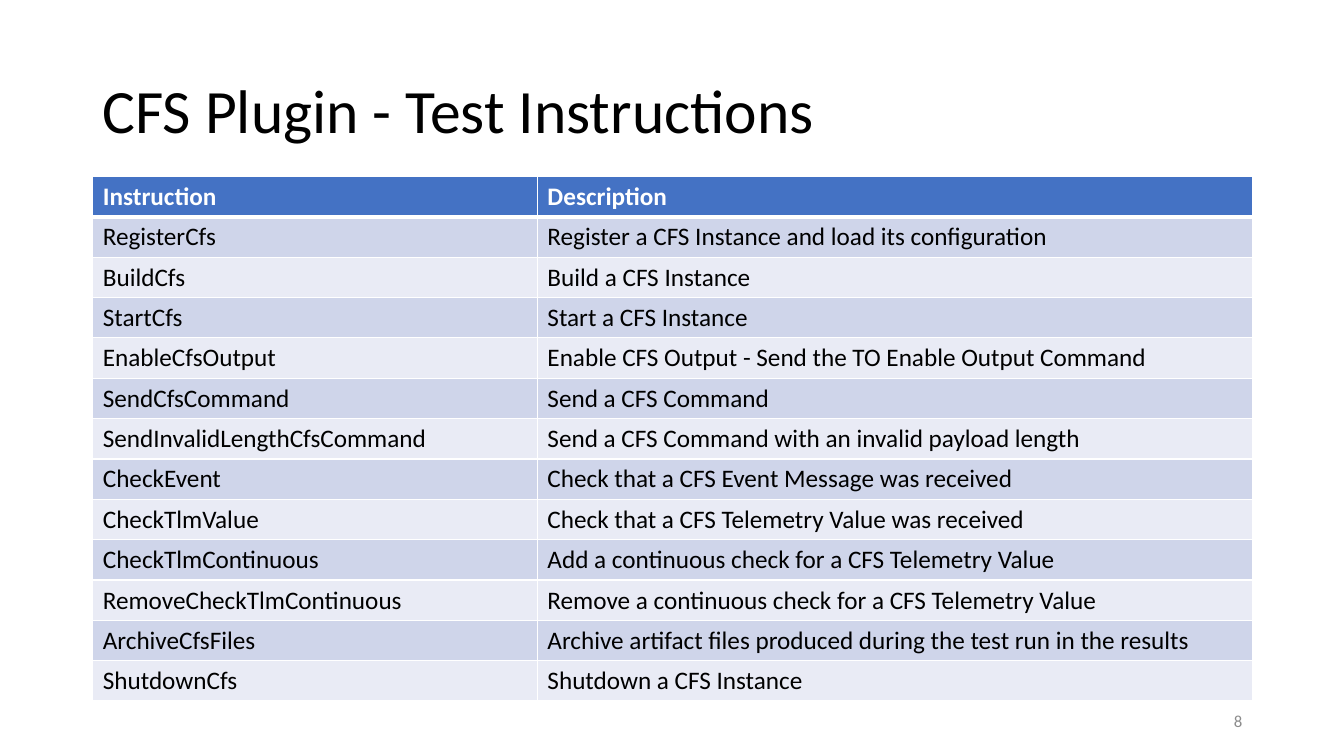
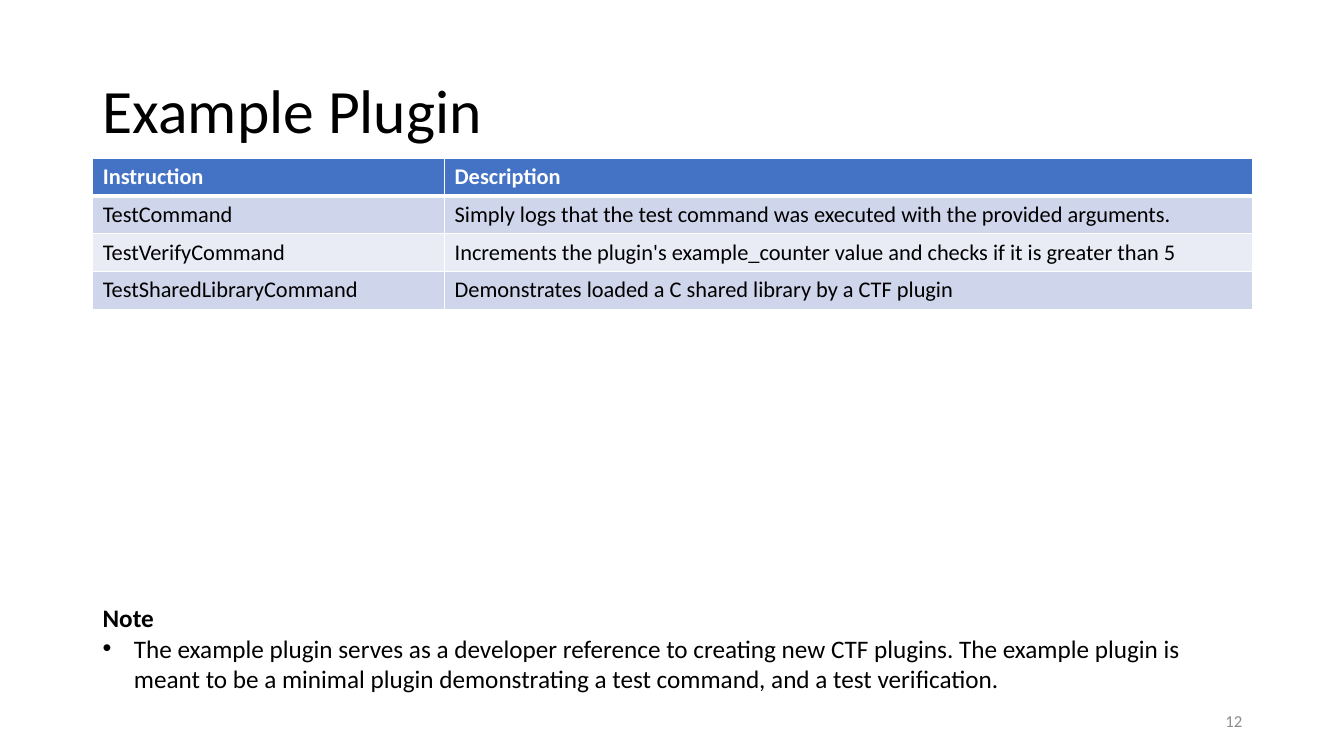
import pptx
import pptx.dml.color
import pptx.enum.text
import pptx.oxml
import pptx.oxml.ns
import pptx.util

Inches = pptx.util.Inches
Pt = pptx.util.Pt
Anchor = pptx.enum.text.MSO_ANCHOR
Align = pptx.enum.text.PP_ALIGN

FONT = "Calibri"
BLACK, WHITE, GREY = "000000", "FFFFFF", "8C8C8C"
HEADER_FILL = "4472C4"
BAND_FILLS = ("CFD5EA", "E9EBF5")
LEFT, WIDTH = 0.92, 11.5
HEADINGS = ("Instruction", "Description")

SLIDES = [
    {
        "title": "CFS Plugin - Test Instructions",
        "number": "8",
        "table": {"top": 1.75, "first_column": 4.41, "row_height": 0.4, "size": 18},
        "rows": [
            ("RegisterCfs", "Register a CFS Instance and load its configuration"),
            ("BuildCfs", "Build a CFS Instance"),
            ("StartCfs", "Start a CFS Instance"),
            ("EnableCfsOutput", "Enable CFS Output - Send the TO Enable Output Command"),
            ("SendCfsCommand", "Send a CFS Command"),
            ("SendInvalidLengthCfsCommand", "Send a CFS Command with an invalid payload length"),
            ("CheckEvent", "Check that a CFS Event Message was received"),
            ("CheckTlmValue", "Check that a CFS Telemetry Value was received"),
            ("CheckTlmContinuous", "Add a continuous check for a CFS Telemetry Value"),
            ("RemoveCheckTlmContinuous", "Remove a continuous check for a CFS Telemetry Value"),
            ("ArchiveCfsFiles", "Archive artifact files produced during the test run in the results"),
            ("ShutdownCfs", "Shutdown a CFS Instance"),
        ],
    },
    {
        "title": "Example Plugin",
        "number": "12",
        "table": {"top": 1.57, "first_column": 3.49, "row_height": 0.375, "size": 16},
        "rows": [
            ("TestCommand", "Simply logs that the test command was executed with the provided arguments."),
            ("TestVerifyCommand", "Increments the plugin's example_counter value and checks if it is greater than 5"),
            ("TestSharedLibraryCommand", "Demonstrates loaded a C shared library by a CTF plugin"),
        ],
        "note": (
            "Note",
            "The example plugin serves as a developer reference to creating new CTF plugins. "
            "The example plugin is meant to be a minimal plugin demonstrating a test command, "
            "and a test verification.",
        ),
    },
]


def color(value):
    return pptx.dml.color.RGBColor.from_string(value)


def write_text(frame, text, size=18, fill=BLACK, bold=False, align=Align.LEFT,
               line_spacing=None, bullet=False):
    paragraph = frame.paragraphs[0]
    if paragraph.runs:
        paragraph = frame.add_paragraph()
    paragraph.alignment = align
    paragraph.line_spacing = line_spacing
    if bullet:
        properties = paragraph._p.get_or_add_pPr()
        properties.set("marL", str(Inches(0.31)))
        properties.set("indent", str(-Inches(0.31)))
        for tag, name, value in (("buFont", "typeface", "Arial"), ("buChar", "char", "•")):
            element = pptx.oxml.ns.qn("a:" + tag)
            properties.append(properties.makeelement(element, {name: value}))
    run = paragraph.add_run()
    run.text = text
    run.font.name = FONT
    run.font.size = Pt(size)
    run.font.bold = bold
    run.font.color.rgb = color(fill)


def add_box(slide, left, top, width, height, anchor=Anchor.MIDDLE):
    shape = slide.shapes.add_textbox(Inches(left), Inches(top), Inches(width), Inches(height))
    shape.text_frame.word_wrap = True
    shape.text_frame.vertical_anchor = anchor
    return shape.text_frame


def set_borders(cell, **widths):
    properties = cell._tc.get_or_add_tcPr()
    for position, side in enumerate("LRTB"):
        line = pptx.oxml.parse_xml(
            f'<a:ln{side} {pptx.oxml.ns.nsdecls("a")} w="{Pt(widths.get(side, 1))}">'
            f'<a:solidFill><a:srgbClr val="{WHITE}"/></a:solidFill></a:ln{side}>'
        )
        properties.insert(position, line)


def add_instruction_table(slide, rows, top, first_column, row_height, size):
    rows = [HEADINGS, *rows]
    table = slide.shapes.add_table(
        len(rows), len(HEADINGS), Inches(LEFT), Inches(top),
        Inches(WIDTH), Inches(row_height * len(rows)),
    ).table
    for column, width in zip(table.columns, (first_column, WIDTH - first_column)):
        column.width = Inches(width)
    for row_index, values in enumerate(rows):
        header = row_index == 0
        for column_index, value in enumerate(values):
            cell = table.cell(row_index, column_index)
            cell.fill.solid()
            cell.fill.fore_color.rgb = color(HEADER_FILL if header else BAND_FILLS[(row_index - 1) % 2])
            set_borders(cell, T=3 if row_index == 1 else 1, B=3 if header else 1)
            write_text(cell.text_frame, value, size=size, bold=header, fill=WHITE if header else BLACK)


def build_slide(presentation, content):
    slide = presentation.slides.add_slide(presentation.slide_layouts[6])
    write_text(add_box(slide, LEFT, 0.4, WIDTH, 1.45), content["title"], size=44, line_spacing=0.9)
    write_text(add_box(slide, 9.42, 6.95, 3, 0.4), content["number"],
               size=12, fill=GREY, align=Align.RIGHT)
    add_instruction_table(slide, content["rows"], **content["table"])
    if "note" in content:
        heading, body = content["note"]
        frame = add_box(slide, LEFT, 5.93, WIDTH, 1.01, anchor=Anchor.TOP)
        write_text(frame, heading, bold=True)
        write_text(frame, body, bullet=True)


def main():
    presentation = pptx.Presentation()
    presentation.slide_width = Inches(13.33)
    presentation.slide_height = Inches(7.5)
    for content in SLIDES:
        build_slide(presentation, content)
    presentation.save("out.pptx")


if __name__ == "__main__":
    main()
